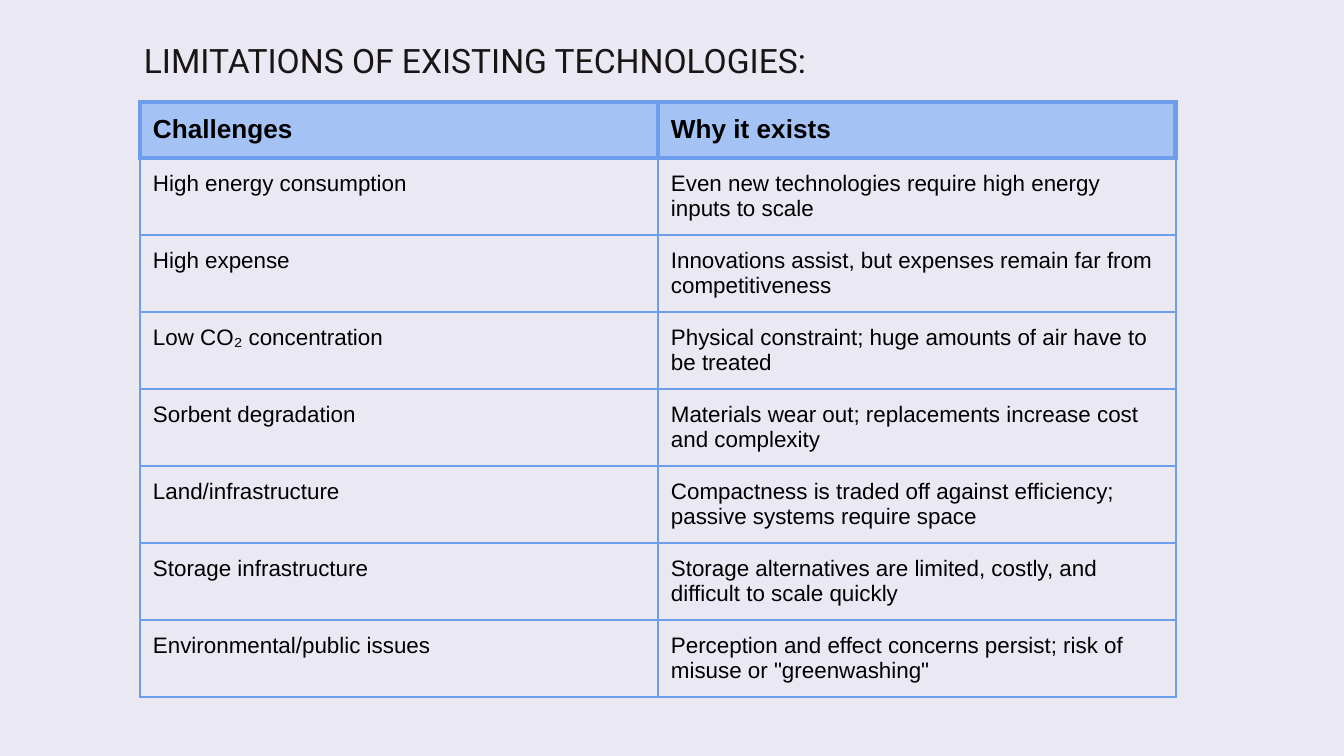
from dataclasses import dataclass

from lxml import etree
from pptx import Presentation
from pptx.dml.color import RGBColor
from pptx.enum.text import MSO_ANCHOR
from pptx.oxml.ns import qn
from pptx.util import Pt

TOP = MSO_ANCHOR.TOP
SCALE = 914400 / 134.4
PAD = 13
SIDES = ("lnL", "lnR", "lnT", "lnB")
BARE = "{2D5ABB26-0587-4C30-8999-92F81FD0307C}"

ROWS = [
    ("Challenges", "Why it exists"),
    ("High energy consumption",
     "Even new technologies require high energy inputs to scale"),
    ("High expense",
     "Innovations assist, but expenses remain far from competitiveness"),
    ("Low CO₂ concentration",
     "Physical constraint; huge amounts of air have to be treated"),
    ("Sorbent degradation",
     "Materials wear out; replacements increase cost and complexity"),
    ("Land/infrastructure",
     "Compactness is traded off against efficiency; passive systems require space"),
    ("Storage infrastructure",
     "Storage alternatives are limited, costly, and difficult to scale quickly"),
    ("Environmental/public issues",
     'Perception and effect concerns persist; risk of misuse or "greenwashing"'),
]


@dataclass(frozen=True)
class Theme:
    """Colours, fonts and type sizes of the slide."""
    back: str = "EAE8F3"
    ink: str = "191515"
    text: str = "000000"
    head: str = "A4C2F4"
    rule: str = "6D9EEB"
    title: str = "Roboto"
    body: str = "Arial"
    large: int = 18
    medium: int = 14
    small: int = 12
    thick: float = 3
    thin: float = 0.75


def px(n):
    """Turn pixels into EMU."""
    return round(n * SCALE)


class Page:
    """Draws styled elements on the current slide."""

    def __init__(self, deck, theme):
        """Add a blank slide with the theme's background."""
        self.theme = theme
        self.slide = deck.slides.add_slide(deck.slide_layouts[6])
        fill = self.slide.background.fill
        fill.solid()
        fill.fore_color.rgb = RGBColor.from_string(theme.back)

    def label(self, frame, words, font, size, tint, bold=False):
        """Put one styled run into a text frame."""
        run = frame.paragraphs[0].add_run()
        run.text = words
        look = {"name": font, "size": Pt(size), "bold": bold}
        for key, value in look.items():
            setattr(run.font, key, value)
        run.font.color.rgb = RGBColor.from_string(tint)

    def pad(self, item, left=PAD):
        """Set the insets of a cell or text frame."""
        look = {"margin_left": px(left), "margin_right": px(PAD),
                "margin_top": px(PAD), "margin_bottom": px(PAD),
                "vertical_anchor": TOP}
        for key, value in look.items():
            setattr(item, key, value)

    def title(self, words, x, y, w, h, left):
        """Add the heading text box."""
        t = self.theme
        frame = self.slide.shapes.add_textbox(px(x), px(y), px(w), px(h)).text_frame
        frame.word_wrap = True
        self.pad(frame, left)
        self.label(frame, words, t.title, t.large, t.ink)

    def edge(self, cell, widths):
        """Draw the four borders of a cell."""
        props = cell._tc.get_or_add_tcPr()
        for i, (side, width) in enumerate(zip(SIDES, widths)):
            line = etree.Element(qn(f"a:{side}"), w=str(Pt(width)))
            fill = etree.SubElement(line, qn("a:solidFill"))
            etree.SubElement(fill, qn("a:srgbClr"), val=self.theme.rule)
            props.insert(i, line)

    def cell(self, cell, words, row):
        """Fill and style one cell by its row."""
        t = self.theme
        head = row == 0
        self.pad(cell)
        if head:
            cell.fill.solid()
            cell.fill.fore_color.rgb = RGBColor.from_string(t.head)
        else:
            cell.fill.background()
        side = t.thick if head else t.thin
        top = t.thick if row < 2 else t.thin
        self.edge(cell, (side, side, top, side))
        size = t.medium if head else t.small
        self.label(cell.text_frame, words, t.body, size, t.text, head)

    def table(self, rows, x, y, w, first, rest):
        """Add a table with a header row and even body rows."""
        high = first + rest * (len(rows) - 1)
        frame = self.slide.shapes.add_table(
            len(rows), len(rows[0]), px(x), px(y), px(w), px(high))
        table = frame.table
        table.first_row = table.horz_banding = False
        table._tbl.tblPr.find(qn("a:tableStyleId")).text = BARE
        for r, row in enumerate(rows):
            table.rows[r].height = px(rest if r else first)
            for c, words in enumerate(row):
                self.cell(table.cell(r, c), words, r)


def main():
    """Build and save the slide."""
    deck = Presentation()
    deck.slide_width, deck.slide_height = px(1344), px(756)
    page = Page(deck, Theme())
    page.table(ROWS, 140, 102, 1036, 56, 77)
    page.title("LIMITATIONS OF EXISTING TECHNOLOGIES:", 106, 27, 852, 51, 38)
    deck.save("out.pptx")


if __name__ == "__main__":
    main()
